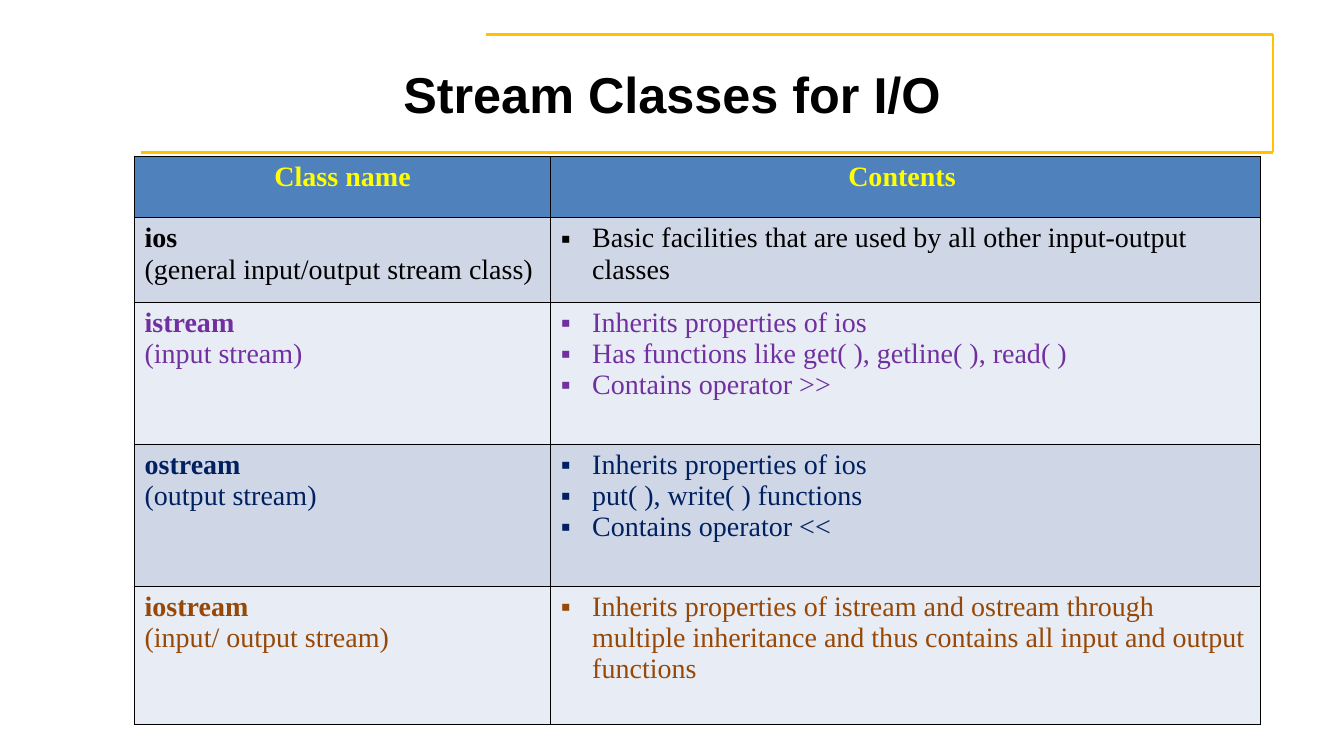
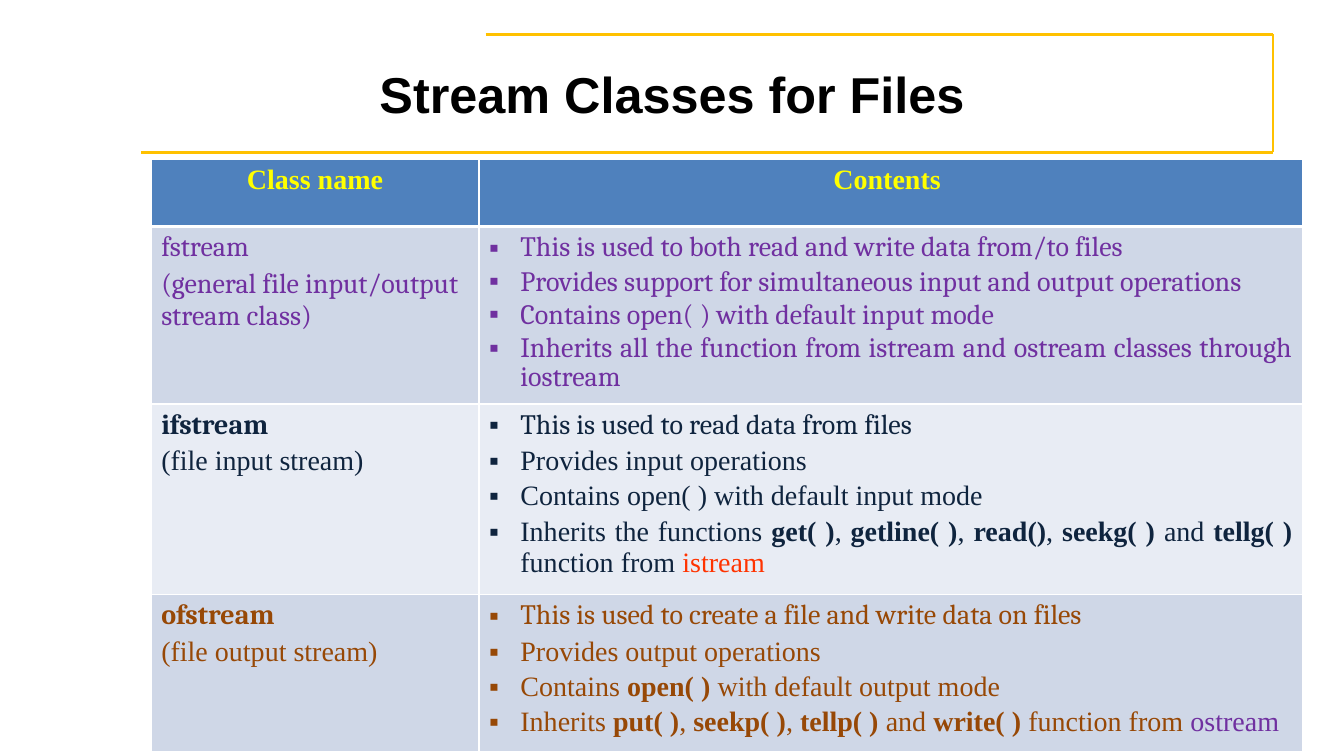
"""Build two slides that tabulate the C++ stream classes for I/O and for files."""
from lxml import etree
from pptx import Presentation
from pptx.dml.color import RGBColor
from pptx.enum.shapes import MSO_CONNECTOR
from pptx.enum.text import MSO_ANCHOR, PP_ALIGN
from pptx.oxml.ns import qn
from pptx.util import Cm, Pt

LEFT, CENTER, JUSTIFY = PP_ALIGN.LEFT, PP_ALIGN.CENTER, PP_ALIGN.JUSTIFY
MIDDLE = MSO_ANCHOR.MIDDLE
STRAIGHT = MSO_CONNECTOR.STRAIGHT

BLACK = RGBColor(0x00, 0x00, 0x00)
WHITE = RGBColor(0xFF, 0xFF, 0xFF)
GOLD = RGBColor(0xFF, 0xC1, 0x00)
YELLOW = RGBColor(0xFF, 0xFF, 0x00)
PURPLE = RGBColor(0x70, 0x30, 0xA0)
NAVY = RGBColor(0x00, 0x20, 0x60)
INK = RGBColor(0x0F, 0x24, 0x3E)
BROWN = RGBColor(0x97, 0x48, 0x06)
RED = RGBColor(0xFF, 0x33, 0x00)
HEADER_FILL = RGBColor(0x4F, 0x81, 0xBD)
BAND_FILLS = [RGBColor(0xE8, 0xEC, 0xF4), RGBColor(0xCF, 0xD7, 0xE7)]

SANS, SERIF, CAMBRIA = "Arial", "Times New Roman", "Cambria"
BULLET_INDENT = Cm(0.79)
FRAME_POINTS = [(12.24, 0.86), (32.08, 0.86), (32.08, 3.84), (3.56, 3.84)]
HEADINGS = ["Class name", "Contents "]

SLIDES = [
    dict(
        title="Stream Classes for I/O", left=3.39, top=3.94,
        columns=[10.49, 17.88], heights=[1.55, 2.13, 3.58, 3.58, 3.48],
        border=BLACK, header_rule=1, lead_font=SERIF, gap=0,
        classes=[
            dict(color=BLACK,
                 name=["*ios*", "(general input/output stream class)"],
                 contents=["Basic facilities that are used by all other input-output classes"]),
            dict(color=PURPLE,
                 name=["*istream*", "(input stream)"],
                 contents=["Inherits properties of ios",
                           "Has functions like get( ), getline( ), read( )",
                           "Contains operator >>"]),
            dict(color=NAVY,
                 name=["*ostream*", "(output stream)"],
                 contents=["Inherits properties of ios",
                           "put( ), write( ) functions",
                           "Contains operator <<"]),
            dict(color=BROWN,
                 name=["*iostream*", "(input/ output stream)"],
                 contents=["Inherits properties of istream and ostream through multiple "
                           "inheritance and thus contains all input and output functions"]),
        ],
    ),
    dict(
        title="Stream Classes for Files", left=3.81, top=4.01,
        columns=[8.26, 20.75], heights=[1.7, 2.64, 3.78, 3.78],
        border=WHITE, header_rule=3, lead_font=CAMBRIA, gap=3,
        classes=[
            dict(color=PURPLE, font=CAMBRIA, align=JUSTIFY, spacing=0.9,
                 name=["fstream", "(general file input/output stream class)"],
                 contents=["This is used to both read and write data from/to files",
                           "Provides support for simultaneous input and output operations",
                           "Contains open( ) with default input mode",
                           "Inherits all the function from istream and ostream classes "
                           "through iostream"]),
            dict(color=INK, accent=RED, align=JUSTIFY,
                 name=["*ifstream*", "(file input stream)"],
                 contents=["This is used to read data from files",
                           "Provides input operations",
                           "Contains open( ) with default input mode",
                           "Inherits the functions *get( )*, *getline( )*, *read()*, "
                           "*seekg( ) *and* tellg( )* function from |istream"]),
            dict(color=BROWN, accent=PURPLE,
                 name=["*ofstream*", "(file output stream)"],
                 contents=["This is used to create a file and write data on files",
                           "Provides output operations",
                           "Contains* open( ) *with default output mode",
                           "Inherits *put( )*, *seekp( )*,* tellp( )* and *write( ) *"
                           "function from |ostream"]),
        ],
    ),
]


def write(paragraph, text, size=20, font=SERIF, color=BLACK, accent=None,
          align=LEFT, before=0, spacing=None, bullet=False):
    """Write text where *stars* mark bold and | starts the accent colour."""
    if bullet:
        props = paragraph._p.get_or_add_pPr()
        props.set("marL", str(BULLET_INDENT))
        props.set("indent", str(-BULLET_INDENT))
        bullet_color = etree.SubElement(props, qn("a:buClr"))
        etree.SubElement(bullet_color, qn("a:srgbClr"), val=str(color))
        etree.SubElement(props, qn("a:buFont"), typeface=SANS)
        etree.SubElement(props, qn("a:buChar"), char="▪")
    paragraph.alignment = align
    paragraph.space_before = Pt(before)
    if spacing:
        paragraph.line_spacing = spacing
    body, _, tail = text.partition("|")
    pieces = [(piece, i % 2 == 1, color) for i, piece in enumerate(body.split("*"))]
    pieces.append((tail, False, accent))
    for piece, bold, piece_color in pieces:
        if piece:
            run = paragraph.add_run()
            run.text = piece
            run.font.size = Pt(size)
            run.font.name = font
            run.font.bold = bold
            run.font.color.rgb = piece_color


def style_cell(cell, fill, border, top=1, bottom=1):
    """Give a cell its four borders and its fill."""
    props = cell._tc.get_or_add_tcPr()
    for side, width in [("L", 1), ("R", 1), ("T", top), ("B", bottom)]:
        edge = etree.SubElement(props, qn(f"a:ln{side}"), w=str(Pt(width)))
        paint = etree.SubElement(edge, qn("a:solidFill"))
        etree.SubElement(paint, qn("a:srgbClr"), val=str(border))
    cell.fill.solid()
    cell.fill.fore_color.rgb = fill


prs = Presentation()
prs.slide_width, prs.slide_height = Cm(33.87), Cm(19.05)

for content in SLIDES:
    slide = prs.slides.add_slide(prs.slide_layouts[6])

    for start, end in zip(FRAME_POINTS, FRAME_POINTS[1:]):
        frame_line = slide.shapes.add_connector(
            STRAIGHT, *[Cm(value) for value in start + end])
        frame_line.line.color.rgb = GOLD
        frame_line.line.width = Pt(2)
        etree.SubElement(frame_line._element.spPr, qn("a:effectLst"))

    title = slide.shapes.add_textbox(Cm(1.7), Cm(0.76), Cm(30.48), Cm(3.18)).text_frame
    title.word_wrap = True
    title.vertical_anchor = MIDDLE
    write(title.paragraphs[0], f"*{content['title']}*", size=36, font=SANS, align=CENTER)

    columns, heights = content["columns"], content["heights"]
    table = slide.shapes.add_table(
        len(heights), len(columns), Cm(content["left"]), Cm(content["top"]),
        Cm(sum(columns)), Cm(sum(heights))).table
    table.horz_banding = False
    for column, width in zip(table.columns, columns):
        column.width = Cm(width)
    for row, height in zip(table.rows, heights):
        row.height = Cm(height)

    rule = content["header_rule"]
    for column, heading in enumerate(HEADINGS):
        cell = table.cell(0, column)
        style_cell(cell, HEADER_FILL, content["border"], bottom=rule)
        write(cell.text_frame.paragraphs[0], f"*{heading}*", color=YELLOW, align=CENTER)

    for row, stream in enumerate(content["classes"], start=1):
        for column, lines in enumerate([stream["name"], stream["contents"]]):
            cell = table.cell(row, column)
            style_cell(cell, BAND_FILLS[row % 2], content["border"],
                       top=rule if row == 1 else 1)
            is_list = column == 1
            frame = cell.text_frame
            write(frame.paragraphs[0], lines[0], font=content["lead_font"],
                  color=stream["color"], accent=stream.get("accent"), bullet=is_list)
            for line in lines[1:]:
                write(frame.add_paragraph(), line, font=stream.get("font", SERIF),
                      color=stream["color"], accent=stream.get("accent"),
                      align=stream.get("align", LEFT) if is_list else LEFT,
                      spacing=stream.get("spacing") if is_list else None,
                      before=content["gap"], bullet=is_list)

prs.save("out.pptx")
